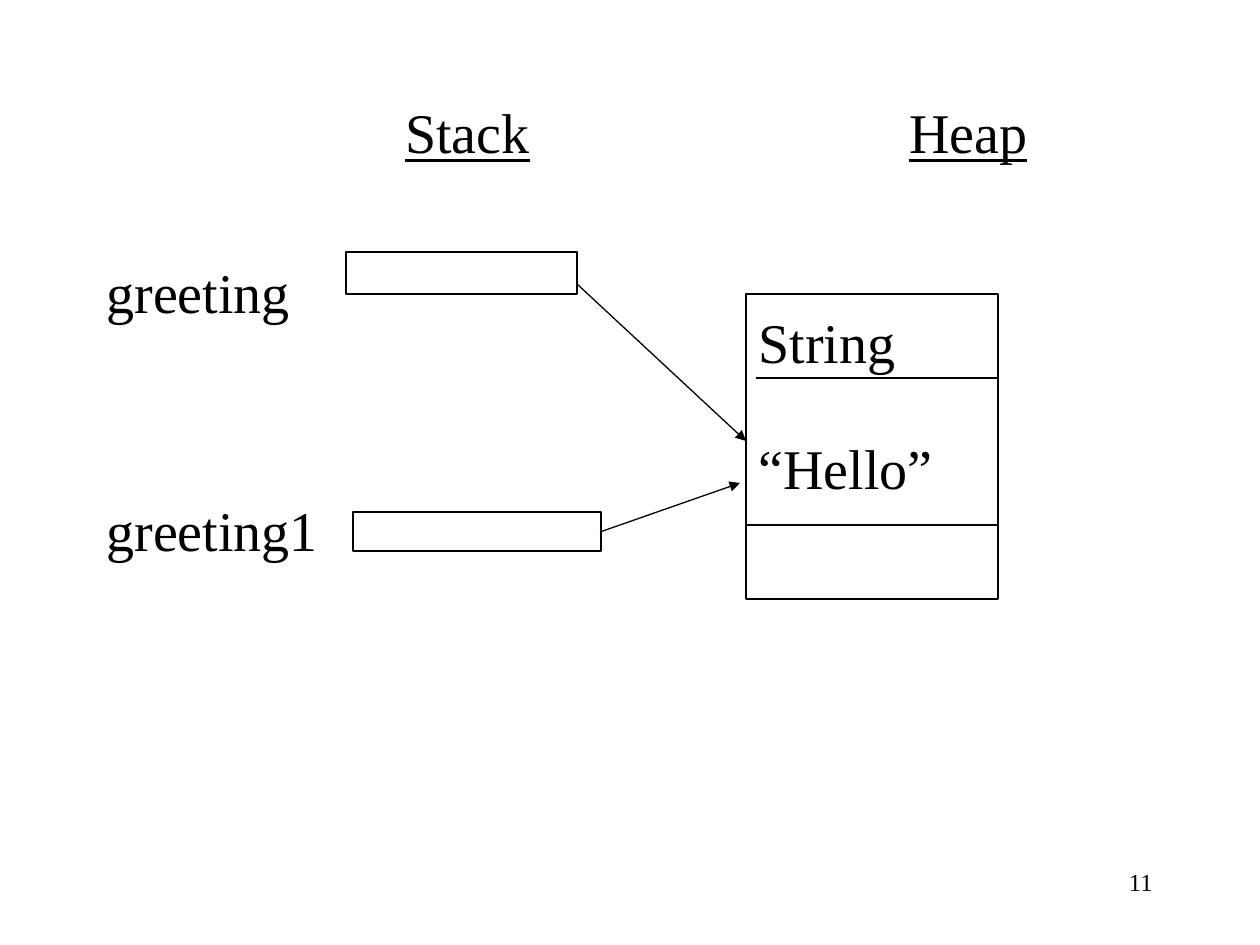
from lxml import etree
from pptx import Presentation
from pptx.dml.color import RGBColor
from pptx.enum.shapes import MSO_CONNECTOR, MSO_SHAPE
from pptx.enum.text import PP_ALIGN
from pptx.oxml.ns import qn
from pptx.util import Pt

LINE = MSO_CONNECTOR.STRAIGHT
RECT = MSO_SHAPE.RECTANGLE
LEFT, RIGHT = PP_ALIGN.LEFT, PP_ALIGN.RIGHT
PIXEL = 914400 // 126

THEME = {
    "ink": RGBColor(0, 0, 0),
    "font": "Times New Roman",
    "body": 32,
    "small": 14,
    "line": 0.75,
}

HEADS = [("Stack", 299), ("Heap", 803)]
NAMES = [("greeting", 92), ("greeting1", 171)]
BODY = (94, 84, 1072, 756)
NOTES = [
    ("String", (746, 301, 231, 79), "body", LEFT),
    ("“Hello”", (746, 427, 273, 79), "body", LEFT),
    ("11", (903, 861, 262, 63), "small", RIGHT),
]
BOXES = [(346, 252, 231, 42), (746, 294, 252, 305), (353, 512, 248, 39)]
RULES = [(756, 378, 998, 378), (746, 525, 998, 525)]
ARROWS = [(577, 284, 746, 441), (600, 532, 740, 483)]


def px(*vals):
    return [val * PIXEL for val in vals]


def style(para, size="body", align=LEFT):
    para.alignment = align
    para.font.name = THEME["font"]
    para.font.size = Pt(THEME[size])
    para.font.color.rgb = THEME["ink"]


def frame(area):
    text = slide.shapes.add_textbox(*px(*area)).text_frame
    text.word_wrap = True
    return text


def stroke(shape):
    shape.line.color.rgb = THEME["ink"]
    shape.line.width = Pt(THEME["line"])


def link(ends, arrow):
    wire = slide.shapes.add_connector(LINE, *px(*ends))
    stroke(wire)
    props = wire.element.spPr
    if arrow:
        etree.SubElement(props.find(qn("a:ln")), qn("a:tailEnd"), type="triangle")
    etree.SubElement(props, qn("a:effectLst"))


deck = Presentation()
deck.slide_width, deck.slide_height = px(1260, 945)
slide = deck.slides.add_slide(deck.slide_layouts[6])

body = frame(BODY)
body.margin_top = 14 * PIXEL
head = body.paragraphs[0]
style(head)
tabs = etree.Element(qn("a:tabLst"))
for word, stop in HEADS:
    etree.SubElement(tabs, qn("a:tab"), pos=str(stop * PIXEL), algn="l")
    head.add_run().text = "\t"
    run = head.add_run()
    run.text = word
    run.font.underline = True
head.font._element.addprevious(tabs)
for name, gap in NAMES:
    para = body.add_paragraph()
    para.text = name
    para.space_before = gap * PIXEL
    style(para)

for words, area, size, align in NOTES:
    para = frame(area).paragraphs[0]
    para.text = words
    style(para, size, align)

for area in BOXES:
    box = slide.shapes.add_shape(RECT, *px(*area))
    box.shadow.inherit = False
    box.fill.background()
    stroke(box)

for ends in RULES:
    link(ends, False)
for ends in ARROWS:
    link(ends, True)

deck.save("out.pptx")
